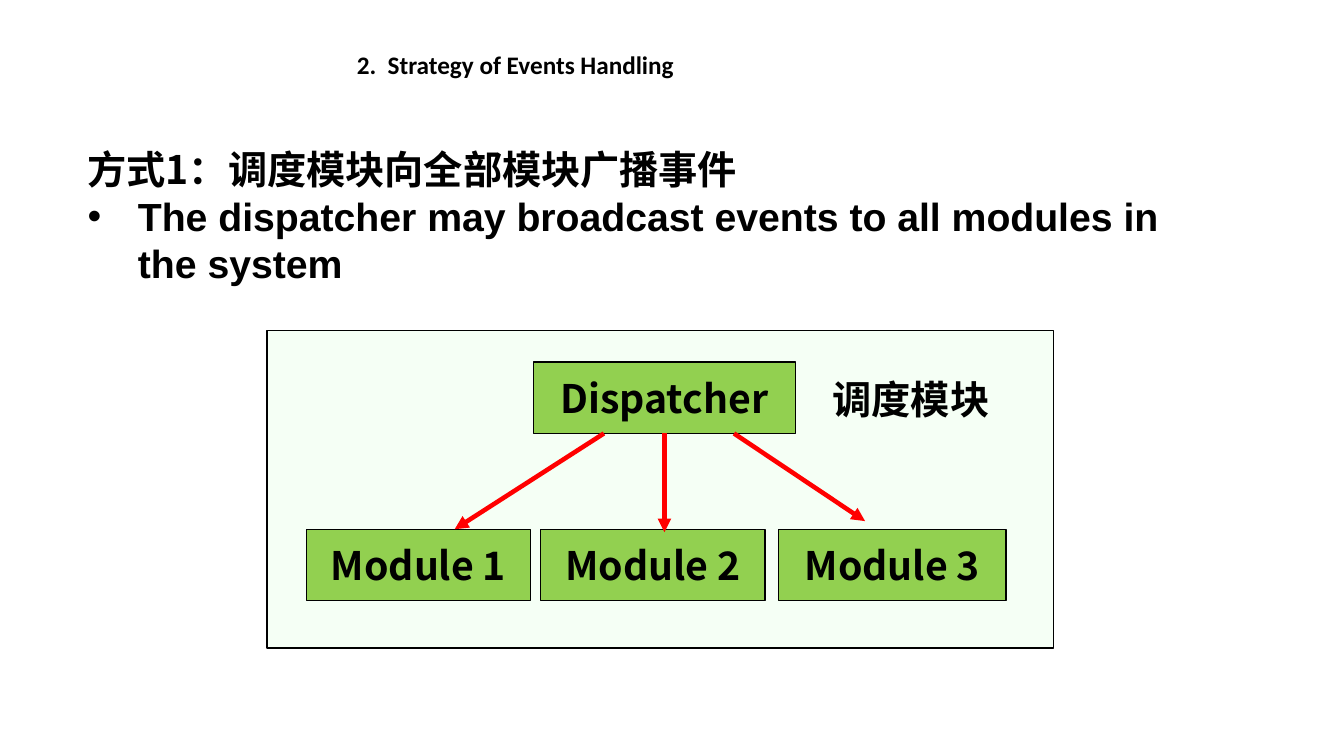
import pptx
import pptx.dml.color
import pptx.enum.shapes
import pptx.enum.text
import pptx.oxml.ns
import pptx.util
from dataclasses import dataclass
from lxml import etree

Inches = pptx.util.Inches
qn = pptx.oxml.ns.qn
Anchor = pptx.enum.text.MSO_ANCHOR
Align = pptx.enum.text.PP_ALIGN
Fit = pptx.enum.text.MSO_AUTO_SIZE


@dataclass
class Theme:
    ink: str = "000000"
    panel: str = "CCFFCC"
    node: str = "92D050"
    arrow: str = "FF0000"
    body: int = 28
    title: int = 18
    cjk: str = "Noto Sans CJK SC"
    latin: str = "Arial"
    head: str = "Calibri"


theme = Theme()
rgb = pptx.dml.color.RGBColor.from_string

deck = pptx.Presentation()
deck.slide_width = Inches(13.33)
deck.slide_height = Inches(7.5)
slide = deck.slides.add_slide(deck.slide_layouts[6])
shapes = slide.shapes


def write(para, text, font, size):
    run = para.add_run()
    run.text = text
    run.font.size = pptx.util.Pt(size)
    run.font.bold = True
    run.font.color.rgb = rgb(theme.ink)
    run.font.name = font
    east = etree.SubElement(run.font._element, qn("a:ea"))
    east.set("typeface", font)


def block(left, top, width, height, fill):
    rect = shapes.add_shape(
        pptx.enum.shapes.MSO_SHAPE.RECTANGLE,
        Inches(left), Inches(top), Inches(width), Inches(height))
    rect.shadow.inherit = False
    rect.fill.solid()
    rect.fill.fore_color.rgb = rgb(fill)
    rect.line.color.rgb = rgb(theme.ink)
    rect.line.width = pptx.util.Pt(1)
    return rect


# Pale panel behind the diagram
panel = block(2.65, 3.28, 7.8, 3.15, theme.panel)
tint = panel.fill._xPr.find(".//" + qn("a:srgbClr"))
etree.SubElement(tint, qn("a:alpha")).set("val", "19000")

# Dispatcher and its modules
nodes = {}
for name, left, top, width in [
    ("Dispatcher", 5.29, 3.59, 2.6),
    ("Module 1", 3.04, 5.25, 2.22),
    ("Module 2", 5.36, 5.25, 2.23),
    ("Module 3", 7.72, 5.25, 2.26),
]:
    node = block(left, top, width, 0.71, theme.node)
    frame = node.text_frame
    frame.word_wrap = False
    frame.vertical_anchor = Anchor.MIDDLE
    frame.paragraphs[0].alignment = Align.CENTER
    write(frame.paragraphs[0], name, theme.cjk, theme.body)
    nodes[name] = node

# Broadcast arrows
for start, end, low in [(5.99, 4.51, 5.25), (6.59, 6.59, 5.28), (7.28, 8.58, 5.17)]:
    arrow = shapes.add_connector(
        pptx.enum.shapes.MSO_CONNECTOR.STRAIGHT,
        Inches(start), Inches(4.3), Inches(end), Inches(low))
    arrow.line.color.rgb = rgb(theme.arrow)
    arrow.line.width = pptx.util.Pt(3.25)
    tip = etree.SubElement(arrow.line._get_or_add_ln(), qn("a:tailEnd"))
    tip.set("type", "triangle")
    etree.SubElement(arrow._element.spPr, qn("a:effectLst"))
    if start == end:
        arrow.begin_connect(nodes["Dispatcher"], 2)

# Text boxes: position, wrapping, then (text, font, size, bullet) lines
for spot, wrap, hang, lines in [
    ((0.77, 1.39, 11.5, 1.51), True, 0.5, [
        ("方式1：调度模块向全部模块广播事件", theme.cjk, theme.body, None),
        ("The dispatcher may broadcast events to all modules in the system",
         theme.latin, theme.body, "•")]),
    ((3.44, 0.44, 6.38, 0.4), True, 0, [
        ("2.  Strategy of Events Handling", theme.head, theme.title, None)]),
    ((8.16, 3.67, 1.77, 0.57), False, 0, [
        ("调度模块", theme.cjk, theme.body, None)]),
]:
    frame = shapes.add_textbox(*map(Inches, spot)).text_frame
    frame.word_wrap = wrap
    frame.auto_size = Fit.SHAPE_TO_FIT_TEXT
    for rank, (text, font, size, mark) in enumerate(lines):
        para = frame.add_paragraph() if rank else frame.paragraphs[0]
        if hang:
            props = para._p.get_or_add_pPr()
            props.set("marL", str(Inches(hang)))
            props.set("indent", str(-Inches(hang)))
            if mark:
                face = etree.SubElement(props, qn("a:buFont"))
                face.set("typeface", theme.latin)
                etree.SubElement(props, qn("a:buChar")).set("char", mark)
        write(para, text, font, size)

deck.save("out.pptx")
